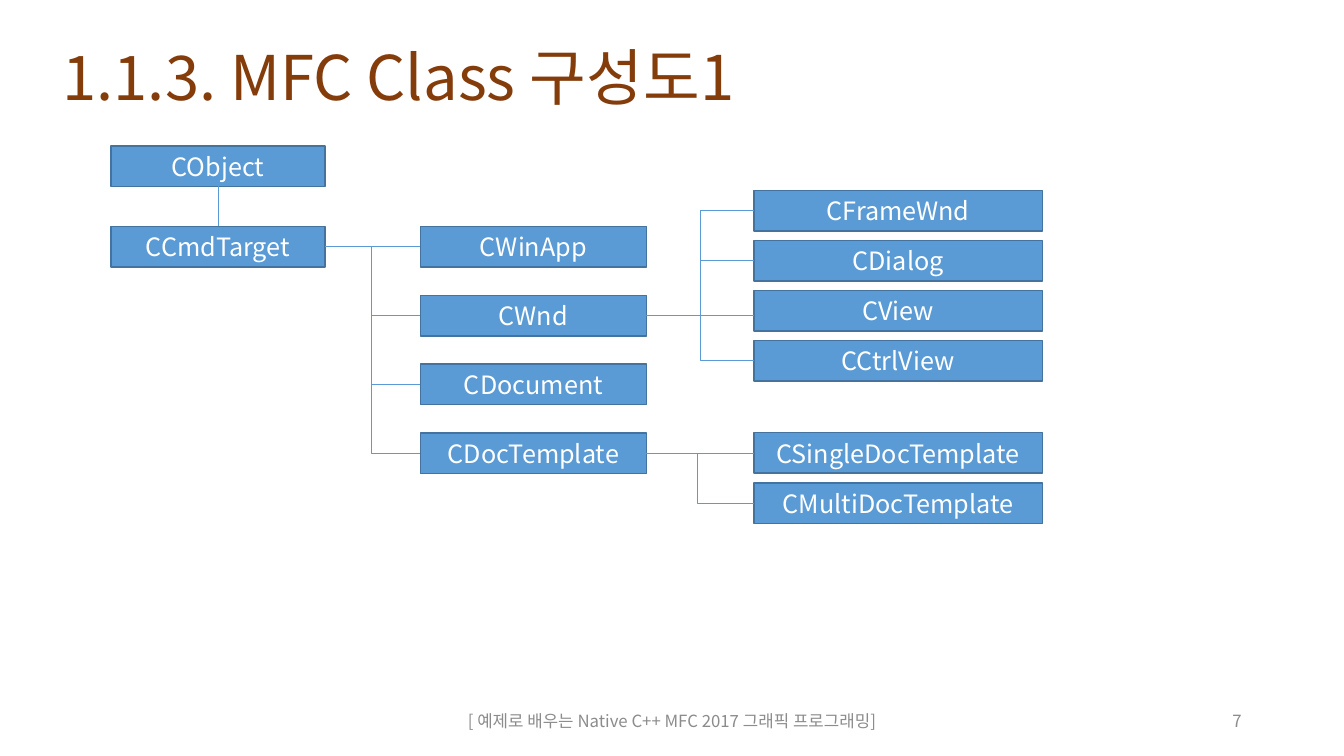
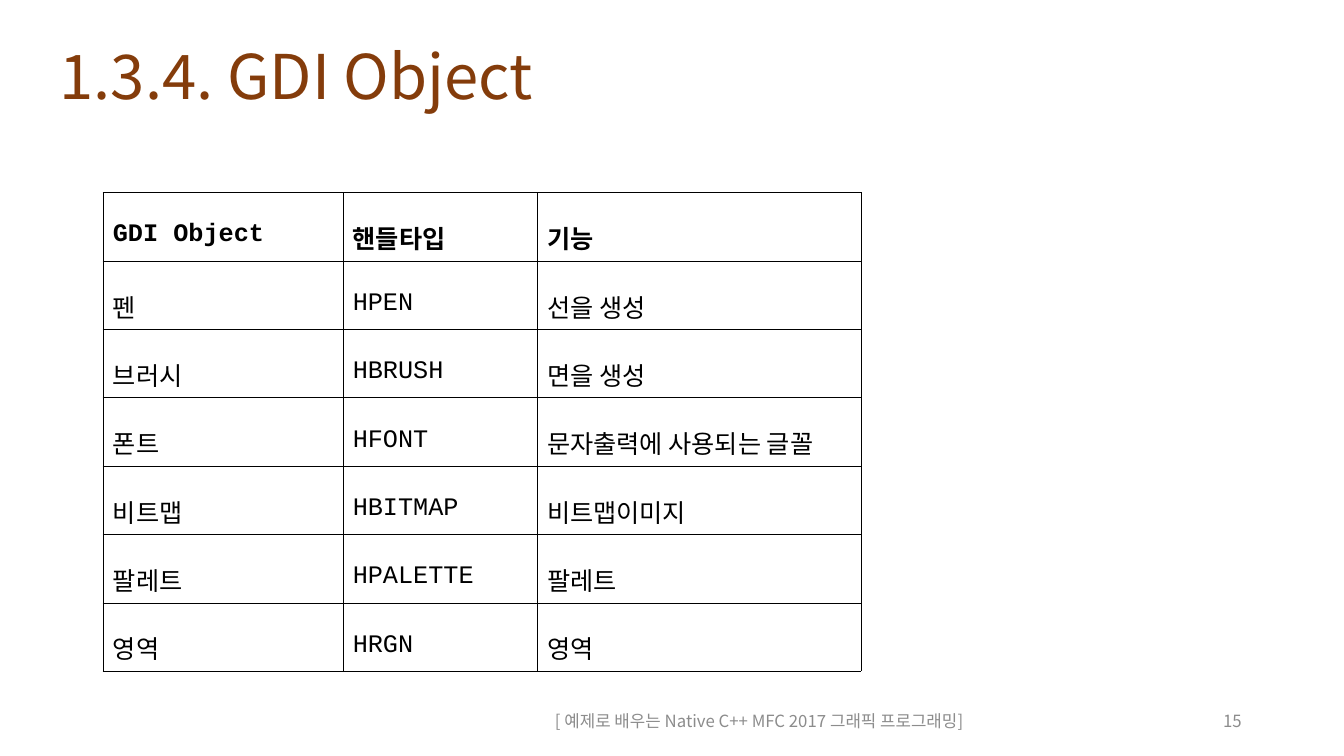
from dataclasses import dataclass

from lxml.etree import SubElement
from pptx import Presentation
from pptx.dml.color import RGBColor
from pptx.enum.shapes import MSO_CONNECTOR, MSO_SHAPE
from pptx.enum.text import MSO_ANCHOR, PP_ALIGN
from pptx.oxml.ns import qn
from pptx.util import Pt


@dataclass(frozen=True)
class Theme:
    title: RGBColor = RGBColor(0x84, 0x3C, 0x0B)
    footer: RGBColor = RGBColor(0x8C, 0x8C, 0x8C)
    box: RGBColor = RGBColor(0x5B, 0x9B, 0xD5)
    box_edge: RGBColor = RGBColor(0x43, 0x73, 0x9E)
    box_text: RGBColor = RGBColor(0xFF, 0xFF, 0xFF)
    ink: RGBColor = RGBColor(0, 0, 0)
    font: str = "Noto Sans CJK KR"
    code_font: str = "Courier New"
    title_size: float = 44
    body_size: float = 18
    footer_size: float = 12


THEME = Theme()
FOOTER = "[ 예제로 배우는 Native C++ MFC 2017 그래픽 프로그래밍]"

BOX_HEIGHT = 29
LEVEL_TOLERANCE = 4
# Class columns: left, width, first top, distance between tops, names
CLASS_COLUMNS = [
    (79.2, 153, 104.2, 57.6, ["CObject", "CCmdTarget"]),
    (300.3, 161.5, 161.7, 49.2, ["CWinApp", "CWnd", "CDocument", "CDocTemplate"]),
    (538.5, 206, 136, 35.7, ["CFrameWnd", "CDialog", "CView", "CCtrlView"]),
    (538.5, 206, 309, 36, ["CSingleDocTemplate", "CMultiDocTemplate"]),
]
# Branches: parent, x of the vertical trunk, children from top to bottom
BRANCHES = [
    ("CCmdTarget", 265, CLASS_COLUMNS[1][-1]),
    ("CWnd", 500.3, CLASS_COLUMNS[2][-1]),
    ("CDocTemplate", 498, CLASS_COLUMNS[3][-1]),
]
TOP, LEFT, BOTTOM, RIGHT = range(4)  # connection sites of a rectangle

GDI_ROWS = [
    ("GDI Object", "핸들타입", "기능"),
    ("펜", "HPEN", "선을 생성"),
    ("브러시", "HBRUSH", "면을 생성"),
    ("폰트", "HFONT", "문자출력에 사용되는 글꼴"),
    ("비트맵", "HBITMAP", "비트맵이미지"),
    ("팔레트", "HPALETTE", "팔레트"),
    ("영역", "HRGN", "영역"),
]
GDI_WIDTHS = (171.4, 138.8, 231.6)
GDI_ROW_HEIGHT = 48.85


def write(text_frame, text, size, color, align, font=THEME.font, bold=False, spacing=None):
    text_frame.word_wrap = True
    text_frame.vertical_anchor = MSO_ANCHOR.MIDDLE
    paragraph = text_frame.paragraphs[0]
    paragraph.alignment = align
    paragraph.line_spacing = spacing
    run = paragraph.add_run()
    run.text = text
    run.font.size = Pt(size)
    run.font.bold = bold
    run.font.color.rgb = color
    run.font.name = font
    latin = run.font._element.find(qn("a:latin"))
    east_asian = latin.makeelement(qn("a:ea"), {"typeface": THEME.font})
    latin.addnext(east_asian)


def add_label(slide, frame, *args, **options):
    """Add a text box; frame is left, top, width, height in points."""
    shape = slide.shapes.add_textbox(*map(Pt, frame))
    write(shape.text_frame, *args, **options)


def add_page(presentation, title, title_corner, number, footer_width):
    slide = presentation.slides.add_slide(presentation.slide_layouts[6])
    add_label(slide, (*title_corner, 677, 58.3), title, THEME.title_size,
              THEME.title, PP_ALIGN.LEFT, spacing=0.9)
    add_label(slide, (318, 500.5, footer_width, 28.8), FOOTER,
              THEME.footer_size, THEME.footer, PP_ALIGN.CENTER)
    add_label(slide, (678, 500.5, 216, 28.8), str(number),
              THEME.footer_size, THEME.footer, PP_ALIGN.RIGHT)
    return slide


def add_class_box(slide, name, left, top, width):
    shape = slide.shapes.add_shape(
        MSO_SHAPE.RECTANGLE, Pt(left), Pt(top), Pt(width), Pt(BOX_HEIGHT))
    shape.shadow.inherit = False
    shape.fill.solid()
    shape.fill.fore_color.rgb = THEME.box
    shape.line.color.rgb = THEME.box_edge
    shape.line.width = Pt(1)
    write(shape.text_frame, name, THEME.body_size, THEME.box_text, PP_ALIGN.CENTER)
    return shape


def add_link(slide, kind, start, end):
    connector = slide.shapes.add_connector(kind, *start, *end)
    connector.line.color.rgb = THEME.box
    connector.line.width = Pt(0.5)
    SubElement(connector._element.spPr, qn("a:effectLst"))
    return connector


def set_bend(connector, fraction):
    """Place the bend of an elbow at a fraction of its width."""
    guides = connector._element.spPr.find(qn("a:prstGeom")).get_or_add_avLst()
    SubElement(guides, qn("a:gd"), name="adj1", fmla=f"val {round(fraction * 100000)}")


def add_branch(slide, parent, child, trunk, is_last):
    """Join parent to child: level if nearly in line, else by a bend at the trunk.

    A lower child that is not the last needs only a stub, as the last one draws the trunk.
    """
    start = parent.left + parent.width, parent.top + parent.height // 2
    end = child.left, child.top + child.height // 2
    drop = end[1] - start[1]
    if abs(drop) <= Pt(LEVEL_TOLERANCE):
        add_link(slide, MSO_CONNECTOR.STRAIGHT, start, (end[0], start[1]))
    elif drop > 0 and not is_last:
        stub = add_link(slide, MSO_CONNECTOR.STRAIGHT, (Pt(trunk), end[1]), end)
        stub.end_connect(child, LEFT)
    else:
        elbow = add_link(slide, MSO_CONNECTOR.ELBOW, start, end)
        elbow.begin_connect(parent, RIGHT)
        elbow.end_connect(child, LEFT)
        set_bend(elbow, (Pt(trunk) - start[0]) / (end[0] - start[0]))


def add_class_tree(slide):
    boxes = {}
    for left, width, top, step, names in CLASS_COLUMNS:
        for index, name in enumerate(names):
            boxes[name] = add_class_box(slide, name, left, top + index * step, width)
    root, target = boxes["CObject"], boxes["CCmdTarget"]
    middle = root.left + root.width // 2
    stem = add_link(slide, MSO_CONNECTOR.STRAIGHT,
                    (middle, root.top + root.height), (middle, target.top))
    stem.begin_connect(root, BOTTOM)
    stem.end_connect(target, TOP)
    for parent, trunk, children in BRANCHES:
        for child in children:
            add_branch(slide, boxes[parent], boxes[child], trunk, child == children[-1])


def set_borders(cell):
    properties = cell._tc.get_or_add_tcPr()
    for index, side in enumerate(("lnL", "lnR", "lnT", "lnB")):
        line = properties.makeelement(qn(f"a:{side}"), {"w": str(Pt(0.28))})
        fill = SubElement(line, qn("a:solidFill"))
        SubElement(fill, qn("a:srgbClr"), val=str(THEME.ink))
        properties.insert(index, line)


def add_gdi_table(slide):
    frame = slide.shapes.add_table(
        len(GDI_ROWS), len(GDI_WIDTHS), Pt(73.4), Pt(137.5),
        Pt(sum(GDI_WIDTHS)), Pt(GDI_ROW_HEIGHT * len(GDI_ROWS)))
    table = frame.table
    table.first_row = table.horz_banding = False
    for column, width in zip(table.columns, GDI_WIDTHS):
        column.width = Pt(width)
    for row_index, texts in enumerate(GDI_ROWS):
        table.rows[row_index].height = Pt(GDI_ROW_HEIGHT)
        for column_index, text in enumerate(texts):
            cell = table.cell(row_index, column_index)
            cell.fill.background()
            cell.vertical_anchor = MSO_ANCHOR.MIDDLE
            set_borders(cell)
            write(cell.text_frame, text, THEME.body_size, THEME.ink, PP_ALIGN.JUSTIFY,
                  font=THEME.code_font if text.isascii() else THEME.font,
                  bold=row_index == 0, spacing=1.6)


def main():
    presentation = Presentation()
    presentation.slide_width, presentation.slide_height = Pt(960), Pt(540)
    add_class_tree(add_page(presentation, "1.1.3. MFC Class 구성도1", (37.5, 28.2), 7, 324))
    add_gdi_table(add_page(presentation, "1.3.4. GDI Object", (35.5, 27.5), 15, 448.5))
    presentation.save("out.pptx")


if __name__ == "__main__":
    main()
